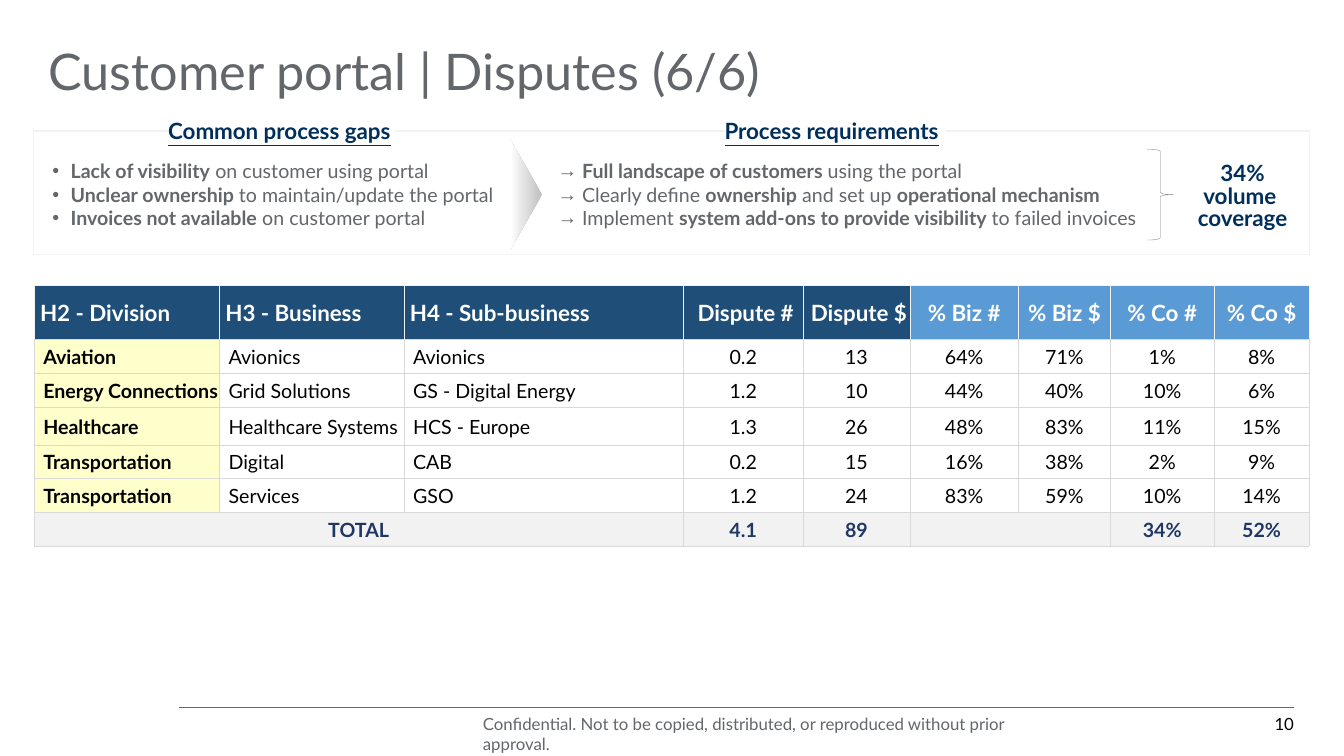
from lxml import etree
from pptx import Presentation
from pptx.dml.color import RGBColor
from pptx.enum.shapes import MSO_CONNECTOR, MSO_SHAPE
from pptx.enum.text import MSO_ANCHOR, MSO_AUTO_SIZE, PP_ALIGN
from pptx.oxml.ns import qn
from pptx.util import Cm, Pt

LEFT, CENTER, RIGHT = PP_ALIGN.LEFT, PP_ALIGN.CENTER, PP_ALIGN.RIGHT
TOP, MIDDLE = MSO_ANCHOR.TOP, MSO_ANCHOR.MIDDLE
FIXED = MSO_AUTO_SIZE.NONE
RECTANGLE, TRIANGLE = MSO_SHAPE.RECTANGLE, MSO_SHAPE.ISOSCELES_TRIANGLE
BRACE, STRAIGHT = MSO_SHAPE.RIGHT_BRACE, MSO_CONNECTOR.STRAIGHT

FONT = "Lato"
GREY, NAVY, BLACK, WHITE = "63666A", "002F5C", "000000", "FFFFFF"
PALE, RULE = "F2F2F2", "D9D9D9"
NO_MARGINS = dict.fromkeys(
    ("margin_left", "margin_top", "margin_right", "margin_bottom"), 0)
CELL_MARGINS = {"margin_top": Cm(0.03), "margin_right": Cm(0.03),
                "margin_bottom": 0, "vertical_anchor": MIDDLE}

GAPS = [
    "**Lack of visibility** on customer using portal",
    "**Unclear ownership **to maintain/update the portal",
    "**Invoices not available** on customer portal",
]
REQUIREMENTS = [
    " **Full landscape of customers **using the portal",
    " Clearly define **ownership** and set up **operational mechanism**",
    " Implement **system add-ons to provide visibility **to failed invoices",
]
COVERAGE = ["34%", "volume ", "coverage"]
DISPUTES = [
    ["H2 - Division", "H3 - Business", "H4 - Sub-business", "Dispute #",
     "Dispute $", "% Biz #", "% Biz $", "% Co #", "% Co $"],
    ["Aviation", "Avionics", "Avionics", "0.2", "13", "64%", "71%", "1%", "8%"],
    ["Energy Connections", "Grid Solutions", "GS - Digital Energy",
     "1.2", "10", "44%", "40%", "10%", "6%"],
    ["Healthcare", "Healthcare Systems", "HCS - Europe",
     "1.3", "26", "48%", "83%", "11%", "15%"],
    ["Transportation", "Digital", "CAB", "0.2", "15", "16%", "38%", "2%", "9%"],
    ["Transportation", "Services", "GSO", "1.2", "24", "83%", "59%", "10%", "14%"],
    ["TOTAL", "", "", "4.1", "89", "", "", "34%", "52%"],
]
COLUMN_WIDTHS = [4.67, 4.65, 7.04, 3.02, 2.69, 2.74, 2.31, 2.62, 2.39]
ROW_HEIGHTS = [1.37, 0.85, 0.85, 0.95, 0.85, 0.85, 0.85]


def color(code):
    return RGBColor.from_string(code)


def apply(target, values):
    for name, value in values.items():
        setattr(target, name, value)


def place(shape, box):
    apply(shape, dict(zip(("left", "top", "width", "height"), map(Cm, box))))


def write(frame, lines, size, ink, align=LEFT, spacing=1.0, bold=False,
          underline=None):
    for number, line in enumerate(lines):
        paragraph = frame.paragraphs[0] if number == 0 else frame.add_paragraph()
        apply(paragraph, {"alignment": align, "line_spacing": spacing,
                          "space_before": Pt(0), "space_after": Pt(0)})
        for position, words in enumerate(line.split("**")):
            if words:
                run = paragraph.add_run()
                run.text = words
                apply(run.font, {"name": FONT, "size": Pt(size),
                                 "bold": bold or position % 2 == 1,
                                 "underline": underline})
                run.font.color.rgb = color(ink)


def text_box(slide, box, lines, size, ink, frame_format, **style):
    note = slide.shapes.add_textbox(*map(Cm, box))
    apply(note.text_frame, frame_format)
    write(note.text_frame, lines, size, ink, **style)


def plain_shape(slide, kind, box, line=None, weight=0.25):
    shape = slide.shapes.add_shape(kind, *map(Cm, box))
    shape.shadow.inherit = False
    shape.fill.background()
    if line:
        shape.line.color.rgb = color(line)
        shape.line.width = Pt(weight)
    else:
        shape.line.fill.background()
    return shape


def title(placeholder, box):
    place(placeholder, box)
    apply(placeholder.text_frame, {**NO_MARGINS, "vertical_anchor": MIDDLE,
                                   "word_wrap": True, "auto_size": FIXED})
    write(placeholder.text_frame, ["Customer portal | Disputes (6/6)"], 36, GREY,
          spacing=0.9)


def bullet_list(placeholder, box, lines, bullet):
    place(placeholder, box)
    frame = placeholder.text_frame
    apply(frame, {**NO_MARGINS, "vertical_anchor": TOP, "word_wrap": True,
                  "auto_size": FIXED})
    write(frame, lines, 14, GREY)
    for paragraph in frame.paragraphs:
        properties = paragraph._p.get_or_add_pPr()
        properties.set("marL", str(Cm(0.46)))
        properties.set("indent", str(-Cm(0.46)))
        etree.SubElement(properties, qn("a:buFont")).set("typeface", "Arial")
        etree.SubElement(properties, qn("a:buChar")).set("char", bullet)


def heading(slide, box, words):
    label = plain_shape(slide, RECTANGLE, box)
    label.fill.solid()
    label.fill.fore_color.rgb = color(WHITE)
    apply(label.text_frame, {**NO_MARGINS, "word_wrap": False,
                             "vertical_anchor": TOP})
    write(label.text_frame, [words], 16, NAVY, bold=True, underline=True)


def summary(slide, box, gaps, requirements):
    left, top, width, height = box
    plain_shape(slide, RECTANGLE, box, PALE, 0.85)
    bullet_list(gaps, (left + 0.48, top + 0.71, 13.11, 1.8), GAPS, "•")
    bullet_list(requirements, (left + 13.21, top + 0.71, 14.63, 1.8),
                REQUIREMENTS, "→")
    text_box(slide, (left + width - 3.08, top + 0.71, 2.79, 1.96), COVERAGE,
             16, NAVY, {"word_wrap": False}, align=CENTER, spacing=Pt(16),
             bold=True)
    plain_shape(slide, BRACE, (left + 28.07, top + 0.46, 0.66, 2.29), "808080")
    pointer = plain_shape(slide, TRIANGLE, (left + 11.02, top + 1.2, 2.79, 0.81))
    pointer.rotation = 90
    pointer.fill.gradient()
    pointer.fill.gradient_angle = 270
    for stop, shade in zip(pointer.fill.gradient_stops, ("BFBFBF", WHITE)):
        stop.color.rgb = color(shade)
    heading(slide, (left + 3.4, top - 0.35, 5.72, 0.76), "Common process gaps")
    heading(slide, (left + 17.42, top - 0.35, 5.56, 0.76), "Process requirements")


def cell_borders(cell, sides):
    properties = cell._tc.get_or_add_tcPr()
    for side, (shade, weight) in sides.items():
        edge = etree.SubElement(properties, qn(f"a:ln{side}"), w=str(Pt(weight)))
        fill = etree.SubElement(edge, qn("a:solidFill"))
        etree.SubElement(fill, qn("a:srgbClr"), val=shade)


def cell_style(row, column):
    if row == 0:
        return ("1F4E78" if column < 5 else "5B9BD5"), WHITE, True
    if row == len(DISPUTES) - 1:
        return PALE, "203764", True
    return ("FFFFCC" if column == 0 else None), BLACK, column == 0


def dispute_table(slide, left, top):
    table = slide.shapes.add_table(
        len(DISPUTES), len(COLUMN_WIDTHS), Cm(left), Cm(top),
        Cm(sum(COLUMN_WIDTHS)), Cm(sum(ROW_HEIGHTS))).table
    apply(table, {"first_row": False, "horz_banding": False})
    for column, width in zip(table.columns, COLUMN_WIDTHS):
        column.width = Cm(width)
    for row, height in zip(table.rows, ROW_HEIGHTS):
        row.height = Cm(height)
    total = len(DISPUTES) - 1
    table.cell(total, 0).merge(table.cell(total, 2))
    table.cell(total, 5).merge(table.cell(total, 6))
    for row, entries in enumerate(DISPUTES):
        header = row == 0
        edge = (PALE if header else RULE, 0.5)
        sides = {"L": edge, "R": edge,
                 "T": (RULE, 0.75) if row == 1 else edge,
                 "B": (RULE, 0.75) if header else edge}
        for column, entry in enumerate(entries):
            cell = table.cell(row, column)
            named = column < 3 and row < total
            fill, ink, bold = cell_style(row, column)
            inset = 0.15 if header and column < 5 else 0.23 if named else 0.03
            apply(cell, {**CELL_MARGINS, "margin_left": Cm(inset)})
            cell_borders(cell, sides)
            if fill:
                cell.fill.solid()
                cell.fill.fore_color.rgb = color(fill)
            else:
                cell.fill.background()
            write(cell.text_frame, [entry], 16 if header else 14, ink,
                  align=LEFT if named else CENTER, bold=bold)


def footer(slide, left, top, width):
    rule = slide.shapes.add_connector(
        STRAIGHT, Cm(left), Cm(top), Cm(left + width), Cm(top))
    rule.line.color.rgb = color(GREY)
    rule.line.width = Pt(0.25)
    etree.SubElement(rule._element.spPr, qn("a:effectLst"))
    frame_format = {**NO_MARGINS, "word_wrap": True}
    text_box(slide, (left + 7.65, top + 0.17, 14.33, 0.51),
             ["Confidential. Not to be copied, distributed, or reproduced "
              "without prior approval."], 12, GREY, frame_format)
    text_box(slide, (left + width - 0.91, top + 0.17, 0.91, 0.51), ["10"], 12,
             BLACK, frame_format, align=RIGHT)


def main():
    deck = Presentation()
    apply(deck, {"slide_width": Cm(33.87), "slide_height": Cm(19.05)})
    slide = deck.slides.add_slide(deck.slide_layouts[3])
    heading_holder, gaps, requirements = slide.placeholders
    title(heading_holder, (1.22, 0.61, 24.99, 2.54))
    summary(slide, (0.84, 3.3, 32.16, 3.12), gaps, requirements)
    dispute_table(slide, 0.86, 7.19)
    footer(slide, 4.52, 17.81, 28.09)
    deck.save("out.pptx")


if __name__ == "__main__":
    main()
